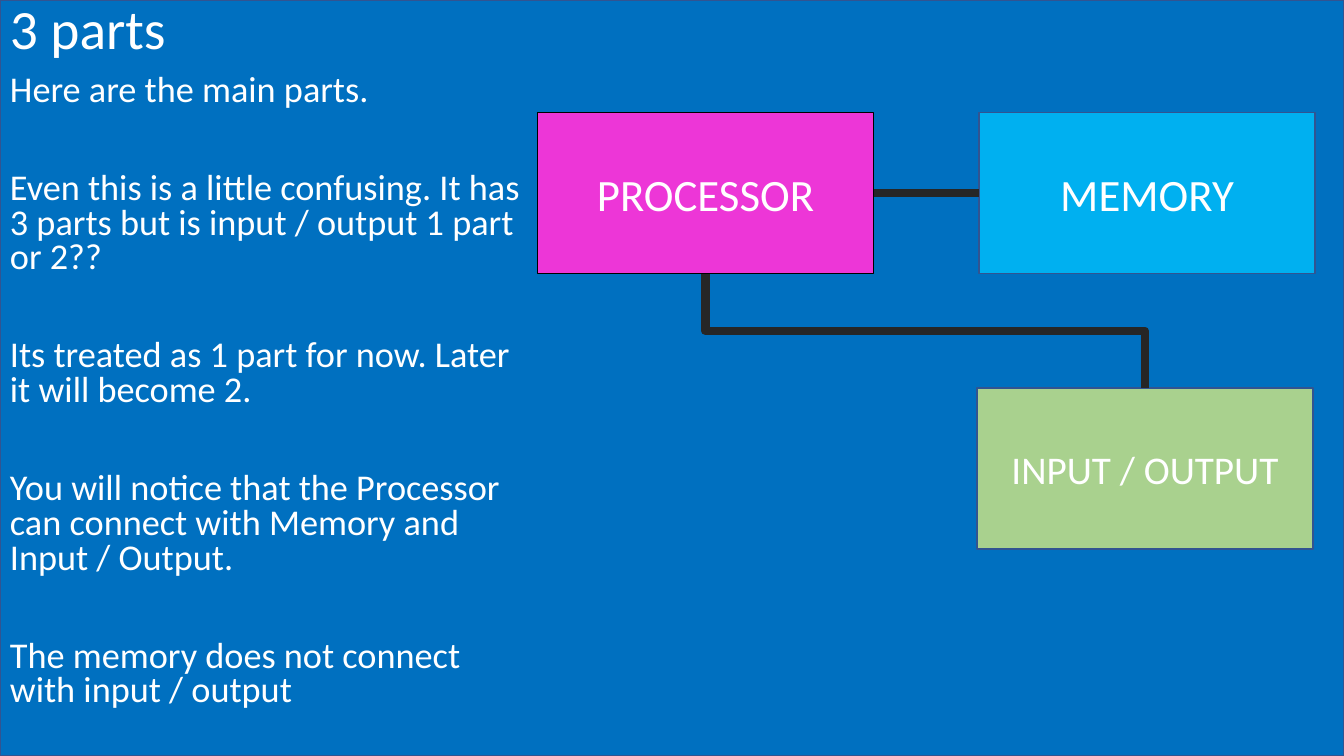
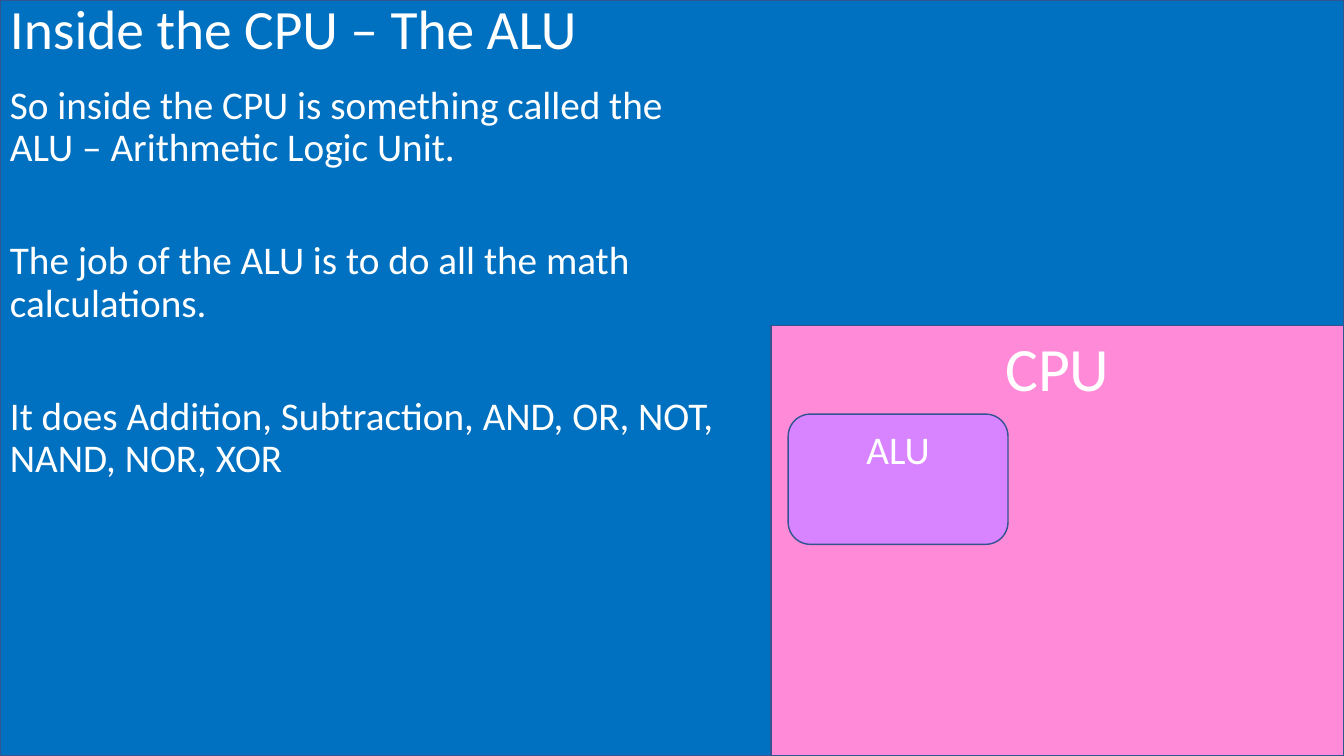
from lxml.etree import SubElement
from pptx import Presentation
from pptx.dml.color import RGBColor
from pptx.enum.shapes import MSO_CONNECTOR, MSO_SHAPE
from pptx.enum.text import MSO_ANCHOR, PP_ALIGN
from pptx.oxml.ns import qn
from pptx.util import Pt

COLORS = {
    "background": "0070C0",
    "outline": "325491",
    "text": "FFFFFF",
    "wire": "262626",
    "black": "000000",
    "processor": "ED36D7",
    "memory": "00B0F0",
    "input_output": "A9D18E",
    "cpu": "FF8AD8",
    "alu": "D883FF",
}
WIDTH, HEIGHT = 960, 540
TITLE_HEIGHT = 45.4
TOP, LEFT, BOTTOM, RIGHT = range(4)  # connection sites of a rectangle


def color(name):
    return RGBColor.from_string(COLORS[name])


def apply(target, formats):
    for name, value in formats.items():
        setattr(target, name, value)


class Deck:
    font = "Calibri"

    def __init__(self):
        self.prs = Presentation()
        apply(self.prs, {"slide_width": Pt(WIDTH), "slide_height": Pt(HEIGHT)})
        self.slide = None

    def new_slide(self, title):
        self.slide = self.prs.slides.add_slide(self.prs.slide_layouts[6])
        self.box((0, 0, WIDTH, HEIGHT), "background")
        self.text((0, 0, WIDTH, TITLE_HEIGHT), [title], 39.6, 0.9,
                  margin_top=0, margin_bottom=0,
                  vertical_anchor=MSO_ANCHOR.MIDDLE)

    def fill_text(self, tf, paragraphs, size, gap=0, **formats):
        """Fill a text frame, with gap points between paragraphs."""
        for i, text in enumerate(paragraphs):
            p = tf.add_paragraph() if i else tf.paragraphs[0]
            apply(p, {"space_before": Pt(gap if i else 0), **formats})
            r = p.add_run()
            r.text = text
            apply(r.font, {"name": self.font, "size": Pt(size)})
            r.font.color.rgb = color("text")

    def text(self, area, paragraphs, size, spacing, gap=0, **frame):
        tf = self.slide.shapes.add_textbox(*map(Pt, area)).text_frame
        apply(tf, {"word_wrap": True, **frame})
        self.fill_text(tf, paragraphs, size, gap, line_spacing=spacing)

    def box(self, area, fill, label=None, size=32, outline="outline",
            anchor=MSO_ANCHOR.MIDDLE, corner=None):
        """Draw a rectangle, or a rounded one if a corner ratio is given."""
        kind = MSO_SHAPE.RECTANGLE if corner is None else MSO_SHAPE.ROUNDED_RECTANGLE
        sp = self.slide.shapes.add_shape(kind, *map(Pt, area))
        if corner is not None:
            sp.adjustments[0] = corner
        sp.shadow.inherit = False
        sp.fill.solid()
        sp.fill.fore_color.rgb = color(fill)
        sp.line.color.rgb = color(outline)
        sp.line.width = Pt(1)
        if label:
            sp.text_frame.vertical_anchor = anchor
            self.fill_text(sp.text_frame, [label], size, alignment=PP_ALIGN.CENTER)
        return sp

    def wire(self, start, start_site, end, end_site, kind=MSO_CONNECTOR.STRAIGHT):
        c = self.slide.shapes.add_connector(kind, 0, 0, 0, 0)
        c.begin_connect(start, start_site)
        c.end_connect(end, end_site)
        c.line.color.rgb = color("wire")
        c.line.width = Pt(6)
        SubElement(c._element.spPr, qn("a:effectLst"))
        return c

    def drop_wire(self, upper, lower):
        """Join two boxes by an elbow that leaves and arrives vertically."""
        c = self.wire(upper, BOTTOM, lower, TOP, MSO_CONNECTOR.ELBOW)
        dx, dy = c.width, c.height
        apply(c, {"left": c.left + (dx - dy) // 2, "top": c.top + (dy - dx) // 2,
                  "width": dy, "height": dx})
        apply(c._element.spPr.xfrm, {"rot": 270, "flipH": True})


def parts_slide(deck):
    deck.new_slide("3 parts")
    deck.text((0, 49.7, 384, 490.3), [
        "Here are the main parts.",
        "Even this is a little confusing. It has 3 parts but is input / output 1 part or 2??",
        "Its treated as 1 part for now. Later it will become 2.",
        "You will notice that the Processor can connect with Memory and Input / Output.",
        "The memory does not connect with input / output",
    ], 25.9, 0.8, gap=45)
    w, h, top = 240, 115, 80.5
    processor = deck.box((384, top, w, h), "processor", "PROCESSOR", outline="black")
    memory = deck.box((699.4, top, w, h), "memory", "MEMORY")
    input_output = deck.box((697.8, 277.2, w, h), "input_output", "INPUT / OUTPUT", 28)
    deck.drop_wire(processor, input_output)
    deck.wire(processor, RIGHT, memory, LEFT)


def alu_slide(deck):
    deck.new_slide("Inside the CPU – The ALU")
    deck.text((0, 57.6, 528, 482.4), [
        "So inside the CPU is something called the ALU – Arithmetic Logic Unit.",
        "The job of the ALU is to do all the math calculations.",
        "It does Addition, Subtraction, AND, OR, NOT, NAND, NOR, XOR",
    ], 28, 0.9, gap=50.5)
    left, top = 550.8, 232.3
    deck.box((left, top, WIDTH - left, HEIGHT - top), "cpu", "CPU", 44,
             anchor=MSO_ANCHOR.TOP, corner=0)
    deck.box((563, 295.8, 157, 93), "alu", "ALU", 28,
             anchor=MSO_ANCHOR.TOP, corner=0.17)


def main():
    deck = Deck()
    parts_slide(deck)
    alu_slide(deck)
    deck.prs.save("out.pptx")


if __name__ == "__main__":
    main()
